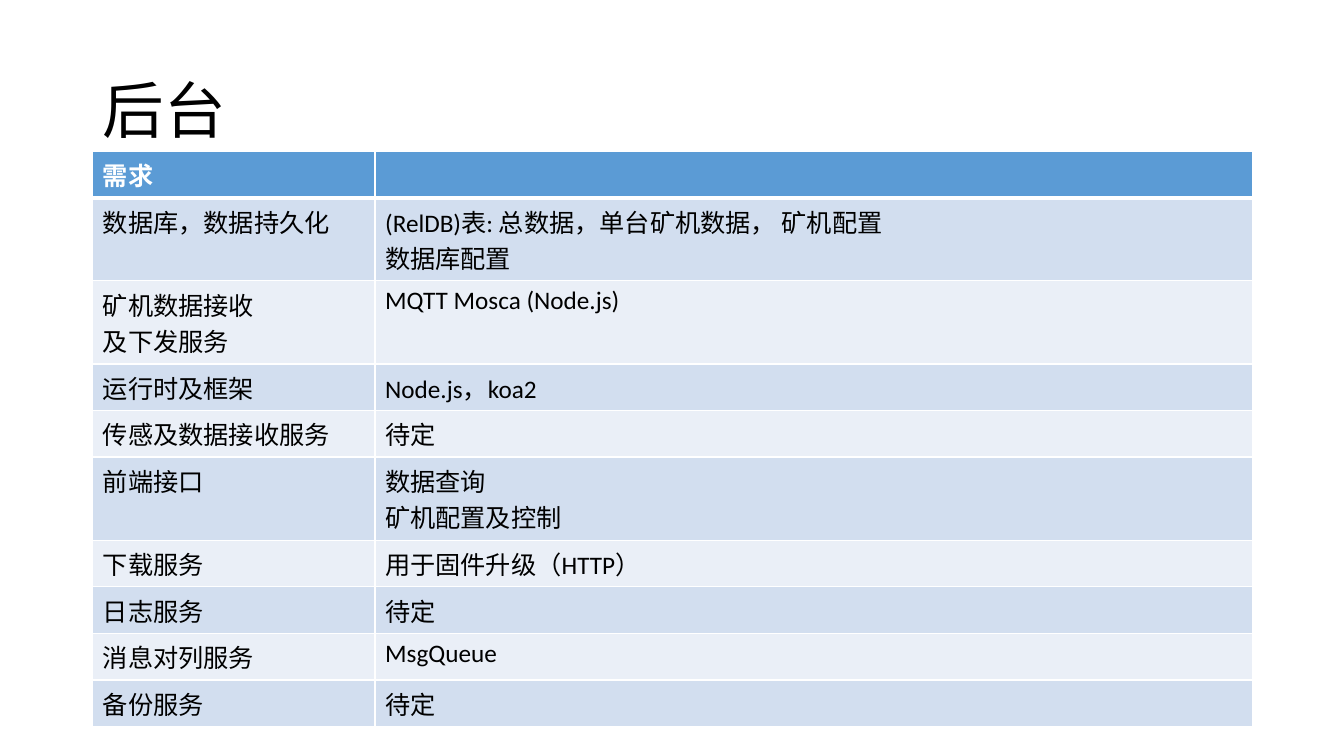
from lxml.etree import SubElement
from pptx import Presentation
from pptx.dml.color import RGBColor
from pptx.enum.text import MSO_ANCHOR as Anchor, PP_ALIGN as Align
from pptx.oxml.ns import qn
from pptx.util import Inches, Pt

WHITE = RGBColor(0xFF, 0xFF, 0xFF)
BLACK = RGBColor(0, 0, 0)
BLUE = RGBColor(0x5B, 0x9B, 0xD5)
DARK = RGBColor(0xD2, 0xDE, 0xEF)
LIGHT = RGBColor(0xEA, 0xEF, 0xF7)
FACE = "Calibri"
WIDTHS = (2.8, 8.7)
ROW_H = 0.41
NEEDS = [
    ("需求", ""),
    ("数据库，数据持久化", "(RelDB)表: 总数据，单台矿机数据， 矿机配置\n数据库配置"),
    ("矿机数据接收\n及下发服务", "MQTT Mosca (Node.js)"),
    ("运行时及框架", "Node.js，koa2"),
    ("传感及数据接收服务", "待定"),
    ("前端接口", "数据查询\n矿机配置及控制"),
    ("下载服务", "用于固件升级（HTTP）"),
    ("日志服务", "待定"),
    ("消息对列服务", "MsgQueue"),
    ("备份服务", "待定"),
]


def set_font(para, size, color, bold=False):
    """Set the font of one paragraph."""
    font = para.font
    font.name, font.size, font.bold = FACE, Pt(size), bold
    font.color.rgb = color


def add_title(slide, text):
    """Place and format the slide title."""
    title = slide.shapes.title
    title.left, title.top = Inches(0.92), Inches(0.4)
    title.width, title.height = Inches(11.5), Inches(1.45)
    frame = title.text_frame
    frame.text = text
    frame.vertical_anchor = Anchor.MIDDLE
    para = frame.paragraphs[0]
    para.alignment, para.line_spacing = Align.LEFT, 0.9
    set_font(para, 44, BLACK)


def add_edges(cell, row):
    """Draw white cell borders, thick below the header."""
    props = cell._tc.get_or_add_tcPr()
    thick = {0: "lnB", 1: "lnT"}.get(row)
    for side in ("lnL", "lnR", "lnT", "lnB"):
        width = Pt(3 if side == thick else 1)
        line = SubElement(props, qn(f"a:{side}"), w=str(width))
        fill = SubElement(line, qn("a:solidFill"))
        SubElement(fill, qn("a:srgbClr"), val=str(WHITE))


def fill_cell(cell, text, row):
    """Write and colour one table cell."""
    head = row == 0
    add_edges(cell, row)
    cell.fill.solid()
    cell.fill.fore_color.rgb = BLUE if head else DARK if row % 2 else LIGHT
    cell.text = text
    for para in cell.text_frame.paragraphs:
        set_font(para, 18, WHITE if head else BLACK, head)


def add_needs(slide):
    """Add the table of needs."""
    count = len(NEEDS)
    table = slide.shapes.add_table(
        count, len(WIDTHS), Inches(0.92), Inches(1.5),
        Inches(sum(WIDTHS)), Inches(ROW_H * count)).table
    for col, width in zip(table.columns, WIDTHS):
        col.width = Inches(width)
    for row, texts in enumerate(NEEDS):
        table.rows[row].height = Inches(ROW_H)
        for col, text in enumerate(texts):
            fill_cell(table.cell(row, col), text, row)


def main():
    """Build and save the slide."""
    deck = Presentation()
    deck.slide_width, deck.slide_height = Inches(13.33), Inches(7.5)
    slide = deck.slides.add_slide(deck.slide_layouts[5])
    add_title(slide, "后台")
    add_needs(slide)
    deck.save("out.pptx")


main()
